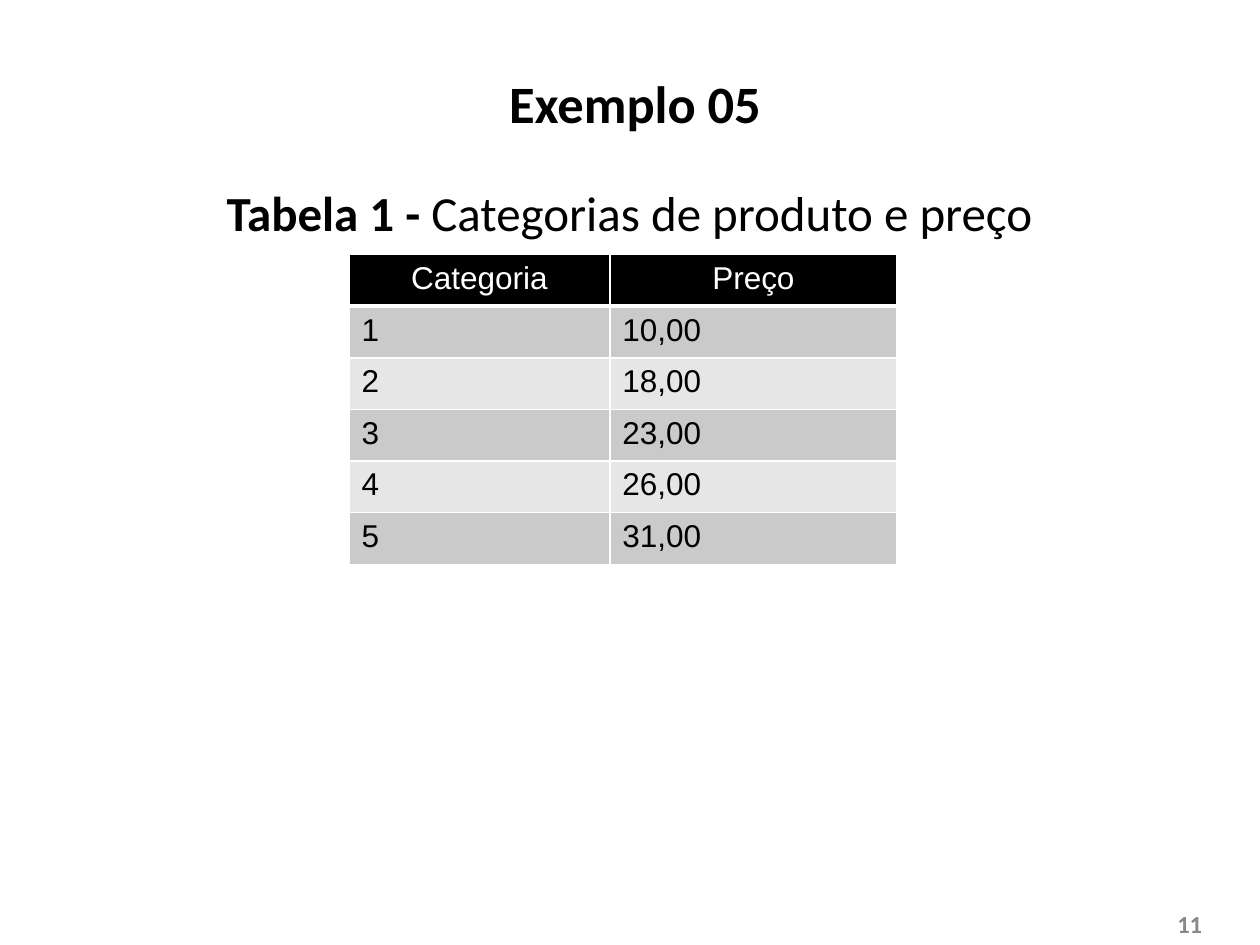
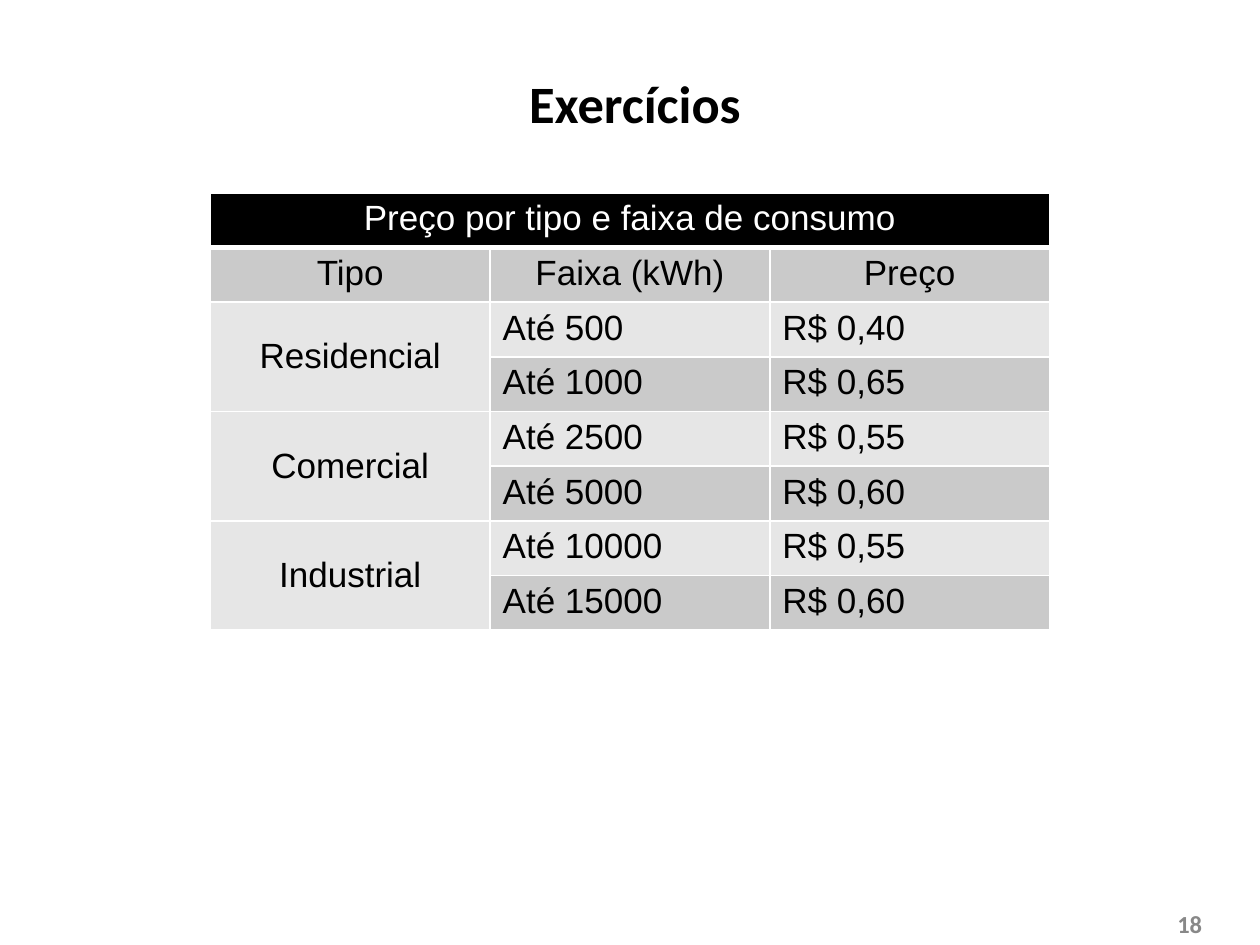
from lxml.etree import SubElement
from pptx import Presentation
from pptx.dml.color import RGBColor
from pptx.enum.text import MSO_ANCHOR, PP_ALIGN
from pptx.oxml.ns import qn
from pptx.util import Inches, Pt

BLACK, WHITE, GRAY = "000000", "FFFFFF", "888888"
BANDS = ("CACACA", "E6E6E6")
ROW_HEIGHT = 0.41


def rgb(value):
    return RGBColor.from_string(value)


def add_text(p, text, size, font="Calibri", color=BLACK, bold=False, align=None):
    r = p.add_run()
    r.text = text
    r.font.size = Pt(size)
    r.font.name = font
    r.font.bold = bold
    r.font.color.rgb = rgb(color)
    if align is not None:
        p.alignment = align


def set_borders(cell, bottom):
    tcPr = cell._tc.get_or_add_tcPr()
    for side, width in (("L", 1), ("R", 1), ("T", 1), ("B", bottom)):
        ln = SubElement(tcPr, qn(f"a:ln{side}"), w=str(Pt(width)))
        fill = SubElement(ln, qn("a:solidFill"))
        SubElement(fill, qn("a:srgbClr"), val=WHITE)


class Deck:
    """Holds the shared style and the current slide."""

    def __init__(self):
        self.prs = Presentation()
        self.prs.slide_width = Inches(10)
        self.prs.slide_height = Inches(7.5)

    def slide(self, title, number):
        self.s = self.prs.slides.add_slide(self.prs.slide_layouts[5])
        self.title(title)
        p = self.text_box(7.31, 7.13, 2.33, 0.4, MSO_ANCHOR.MIDDLE)
        add_text(p, str(number), 14, color=GRAY, bold=True, align=PP_ALIGN.RIGHT)

    def title(self, text):
        sp = self.s.shapes.title
        sp.left, sp.top = Inches(0.51), Inches(0.57)
        sp.width, sp.height = Inches(9.06), Inches(0.58)
        tf = sp.text_frame
        tf.vertical_anchor = MSO_ANCHOR.TOP
        p = tf.paragraphs[0]
        p.line_spacing = 0.9
        add_text(p, text, 30, bold=True, align=PP_ALIGN.CENTER)

    def text_box(self, left, top, width, height, anchor=MSO_ANCHOR.TOP):
        sp = self.s.shapes.add_textbox(
            Inches(left), Inches(top), Inches(width), Inches(height))
        tf = sp.text_frame
        tf.word_wrap = True
        tf.vertical_anchor = anchor
        return tf.paragraphs[0]

    def caption(self, label, text):
        p = self.text_box(0.43, 1.4, 9.13, 0.6)
        add_text(p, label, 28, bold=True, align=PP_ALIGN.CENTER)
        add_text(p, text, 28)

    def table(self, left, top, widths, rows, size, centered_rows=1, merges=()):
        frame = self.s.shapes.add_table(
            len(rows), len(widths), Inches(left), Inches(top),
            Inches(sum(widths)), Inches(ROW_HEIGHT * len(rows)))
        table = frame.table
        for column, width in zip(table.columns, widths):
            column.width = Inches(width)
        for i, row in enumerate(rows):
            table.rows[i].height = Inches(ROW_HEIGHT)
            for j, text in enumerate(row):
                cell = table.cell(i, j)
                set_borders(cell, 1 if i else 3)
                cell.fill.solid()
                cell.fill.fore_color.rgb = rgb(BANDS[(i - 1) % 2] if i else BLACK)
                if text:
                    add_text(cell.text_frame.paragraphs[0], text, size, "Arial",
                             BLACK if i else WHITE,
                             align=PP_ALIGN.CENTER if i < centered_rows else PP_ALIGN.LEFT)
        for first, last in merges:
            cell = table.cell(*first)
            cell.merge(table.cell(*last))
            cell.text_frame.paragraphs[0].alignment = PP_ALIGN.CENTER
            if last[0] > first[0]:
                cell.vertical_anchor = MSO_ANCHOR.MIDDLE


def main():
    deck = Deck()

    deck.slide("Exemplo 05", 11)
    deck.caption("Tabela 1 - ", "Categorias de produto e preço")
    prices = ("10,00", "18,00", "23,00", "26,00", "31,00")
    rows = [("Categoria", "Preço")]
    rows += [(str(n), price) for n, price in enumerate(prices, 1)]
    deck.table(2.77, 2.02, (2.07, 2.28), rows, 18)

    deck.slide("Exercícios", 18)
    rows = [
        ("Preço por tipo e faixa de consumo", "", ""),
        ("Tipo", "Faixa (kWh)", "Preço"),
        ("Residencial", "Até 500", "R$ 0,40"),
        ("", "Até 1000", "R$ 0,65"),
        ("Comercial", "Até 2500", "R$ 0,55"),
        ("", "Até 5000", "R$ 0,60"),
        ("Industrial", "Até 10000", "R$ 0,55"),
        ("", "Até 15000", "R$ 0,60"),
    ]
    merges = [((0, 0), (0, 2))]
    merges += [((i, 0), (i + 1, 0)) for i in range(2, len(rows), 2)]
    deck.table(1.67, 1.53, (2.22,) * 3, rows, 20, centered_rows=2, merges=merges)

    deck.prs.save("out.pptx")


if __name__ == "__main__":
    main()
